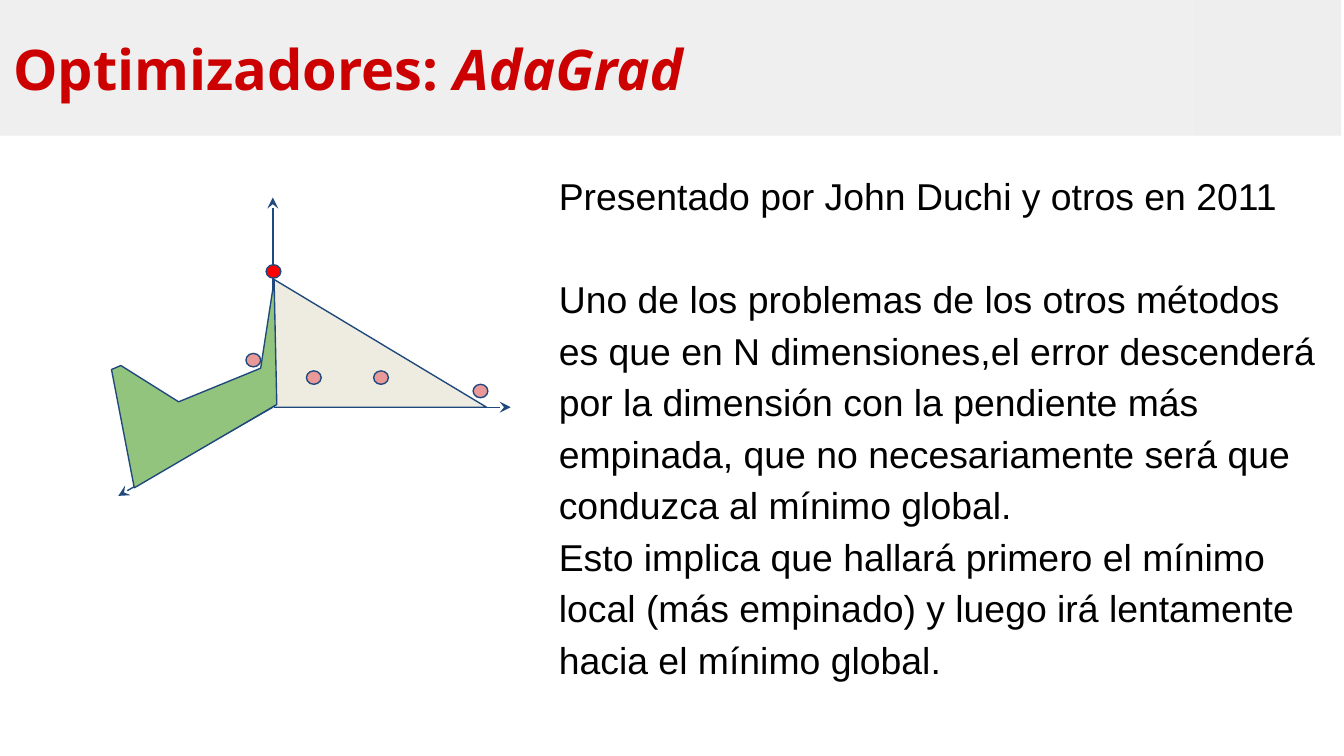
from pptx import Presentation
from pptx.dml.color import RGBColor
from pptx.enum.shapes import MSO_CONNECTOR, MSO_SHAPE
from pptx.enum.text import MSO_ANCHOR, PP_ALIGN
from pptx.oxml.ns import qn
from pptx.util import Inches, Pt
from lxml.etree import SubElement

COLORS = {
    "band": "EFEFEF",
    "corner": "EEEEEE",
    "title": "CC0000",
    "text": "000000",
    "outline": "1F497D",
    "slope": "EEECE1",
    "valley": "93C47D",
    "start": "FF0000",
    "step": "EA9999",
}


class SlideBuilder:
    body_font = "Arial"
    title_font = "Open Sans"
    line_width = Pt(0.75)
    dot_size = (0.11, 0.1)

    def __init__(self, slide):
        self.slide = slide

    def color(self, name):
        return RGBColor.from_string(COLORS[name])

    def paint(self, shape, fill, outlined):
        shape.shadow.inherit = False
        shape.fill.solid()
        shape.fill.fore_color.rgb = self.color(fill)
        if outlined:
            shape.line.color.rgb = self.color("outline")
            shape.line.width = self.line_width
        else:
            shape.line.fill.background()
        return shape

    def shape(self, kind, left, top, width, height, fill, outlined=True):
        box = [Inches(value) for value in (left, top, width, height)]
        return self.paint(self.slide.shapes.add_shape(kind, *box), fill, outlined)

    def dot(self, left, top, fill):
        self.shape(MSO_SHAPE.OVAL, left, top, *self.dot_size, fill)

    def polygon(self, points, fill):
        corners = [(Inches(x), Inches(y)) for x, y in points]
        builder = self.slide.shapes.build_freeform(*corners[0])
        builder.add_line_segments(corners[1:], close=True)
        self.paint(builder.convert_to_shape(), fill, True)

    def arrow(self, start, end, arrowhead="tailEnd"):
        ends = [Inches(value) for value in (*start, *end)]
        connector = self.slide.shapes.add_connector(MSO_CONNECTOR.STRAIGHT, *ends)
        connector.line.color.rgb = self.color("outline")
        connector.line.width = self.line_width
        line = connector._element.spPr.find(qn("a:ln"))
        SubElement(line, qn(f"a:{arrowhead}"), type="stealth")
        SubElement(connector._element.spPr, qn("a:effectLst"))

    def set_margins(self, frame):
        frame.word_wrap = True
        frame.margin_left = frame.margin_right = Inches(0.1)
        frame.margin_top = frame.margin_bottom = Inches(0.1)

    def title(self, shape, plain, italic):
        frame = shape.text_frame
        self.set_margins(frame)
        frame.vertical_anchor = MSO_ANCHOR.MIDDLE
        paragraph = frame.paragraphs[0]
        paragraph.alignment = PP_ALIGN.LEFT
        paragraph.font.name = self.title_font
        paragraph.font.size = Pt(30)
        paragraph.font.bold = True
        paragraph.font.color.rgb = self.color("title")
        paragraph.add_run().text = plain
        run = paragraph.add_run()
        run.text = italic
        run.font.italic = True

    def body(self, left, top, width, height, paragraphs):
        box = [Inches(value) for value in (left, top, width, height)]
        frame = self.slide.shapes.add_textbox(*box).text_frame
        self.set_margins(frame)
        for index, (text, gap) in enumerate(paragraphs):
            paragraph = frame.add_paragraph() if index else frame.paragraphs[0]
            paragraph.text = text
            paragraph.line_spacing = 1.15
            paragraph.space_after = Pt(gap)
            paragraph.font.name = self.body_font
            paragraph.font.size = Pt(20)
            paragraph.font.color.rgb = self.color("text")


def main():
    presentation = Presentation()
    presentation.slide_width = Inches(10)
    presentation.slide_height = Inches(10) * 9 // 16
    builder = SlideBuilder(presentation.slides.add_slide(presentation.slide_layouts[6]))

    builder.shape(MSO_SHAPE.RECTANGLE, 8.88, 0, 1.1, 1.01, "corner", outlined=False)
    builder.body(4.06, 1.14, 5.86, 4.13, [
        ("Presentado por John Duchi y otros en 2011", 27.6),
        ("Uno de los problemas de los otros métodos es que en N dimensiones,"
         "el error descenderá por la dimensión con la pendiente más empinada, "
         "que no necesariamente será que conduzca al mínimo global.", 0),
        ("Esto implica que hallará primero el mínimo local (más empinado) "
         "y luego irá lentamente hacia el mínimo global.", 0),
    ])
    band = builder.shape(MSO_SHAPE.RECTANGLE, 0, 0, 8.88, 1.01, "band", outlined=False)
    builder.title(band, "Optimizadores: ", "AdaGrad")

    origin = (2.03, 3.03)
    builder.arrow((2.03, 1.47), origin, "headEnd")
    builder.arrow(origin, (0.88, 3.69))
    builder.arrow((2.04, 3.03), (3.8, 3.03))

    builder.shape(MSO_SHAPE.RIGHT_TRIANGLE, 2.04, 2.08, 1.58, 0.95, "slope")
    builder.polygon([(2.04, 2.09), (1.94, 2.74), (1.33, 2.99), (0.9, 2.72),
                     (0.83, 2.75), (1, 3.63), (2.06, 3.01)], "valley")

    builder.dot(1.98, 1.97, "start")
    for left, top in [(1.83, 2.63), (2.28, 2.76), (2.78, 2.76), (3.52, 2.86)]:
        builder.dot(left, top, "step")

    presentation.save("out.pptx")


if __name__ == "__main__":
    main()
